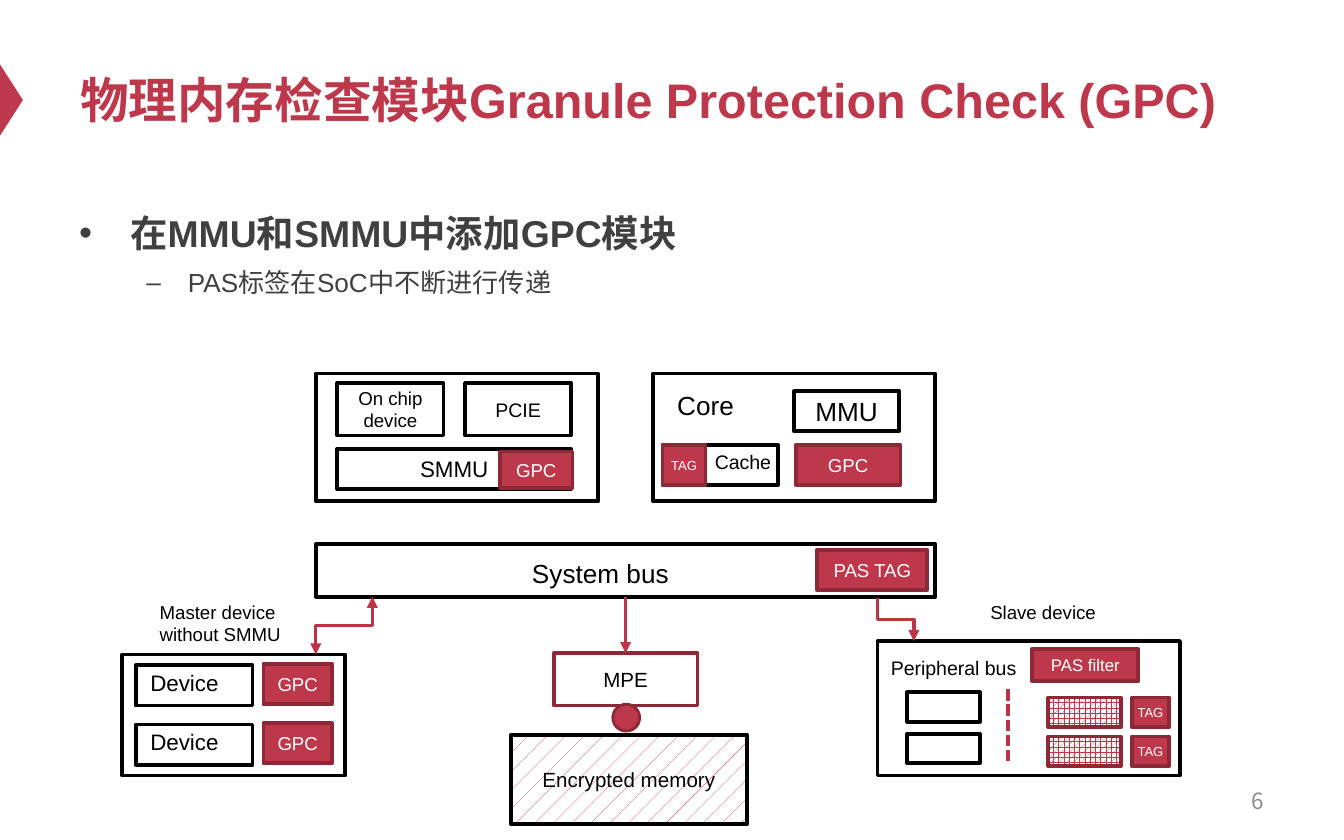
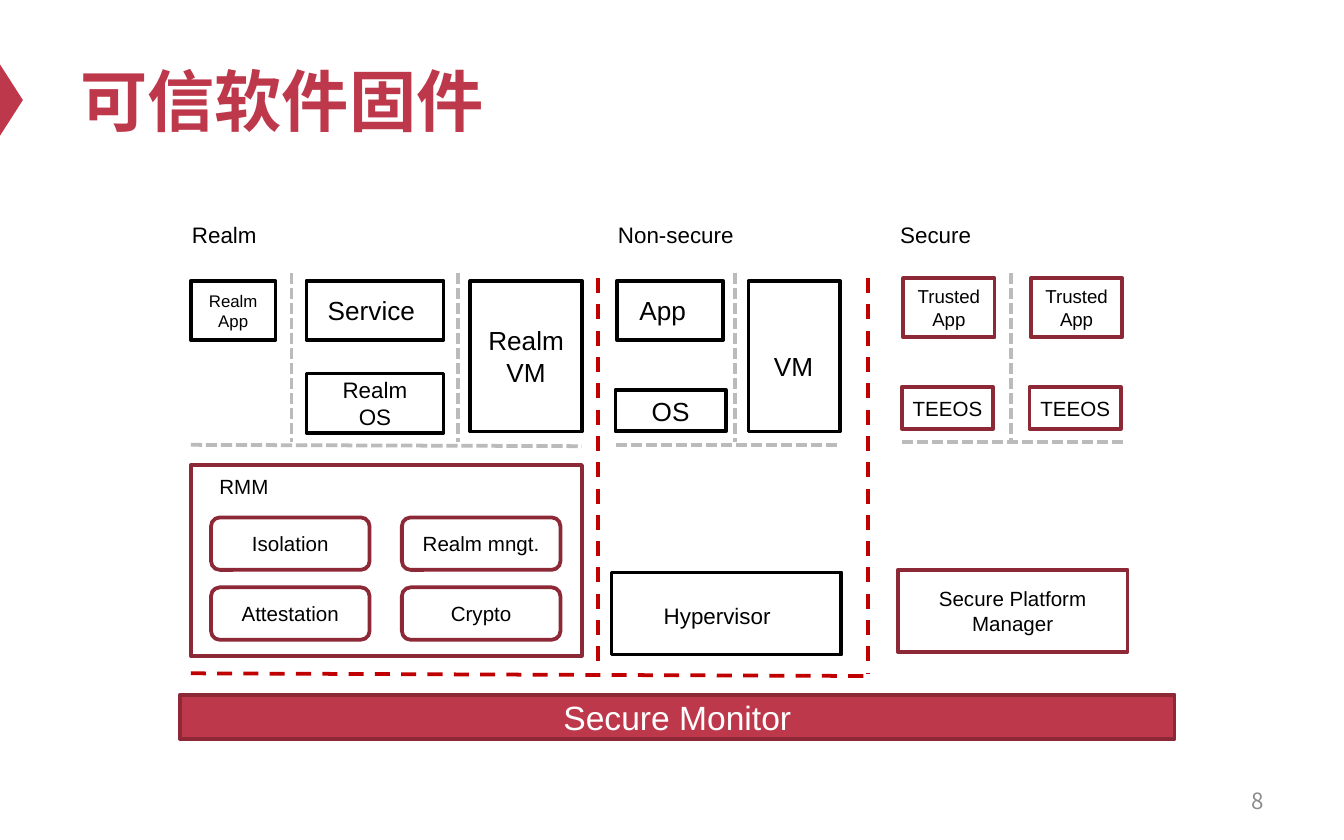
from dataclasses import dataclass
from typing import Any

from lxml.etree import SubElement
from pptx import Presentation
from pptx.dml.color import RGBColor
from pptx.enum.dml import MSO_LINE as Dash, MSO_PATTERN as Pattern
from pptx.enum.shapes import MSO_CONNECTOR as Link, MSO_SHAPE as Shape
from pptx.enum.text import MSO_ANCHOR as Anchor, PP_ALIGN as Align
from pptx.oxml.ns import qn
from pptx.util import Inches, Pt

RED = RGBColor(0xBE, 0x38, 0x4B)
DARK_RED = RGBColor(0x8D, 0x29, 0x37)
ARROW_RED = RGBColor(0xBD, 0x33, 0x47)
BORDER_RED = RGBColor(0xC0, 0x00, 0x00)
BLACK = RGBColor(0x00, 0x00, 0x00)
WHITE = RGBColor(0xFF, 0xFF, 0xFF)
BODY_GRAY = RGBColor(0x40, 0x40, 0x40)
NUMBER_GRAY = RGBColor(0x8C, 0x8C, 0x8C)
LINE_GRAY = RGBColor(0xBB, 0xBB, 0xBB)
LATIN, CJK = "Arial", "Noto Sans CJK SC"


def write_text(frame, text, size=10, color=BLACK, bold=False, font=LATIN,
               align=Align.LEFT, anchor=Anchor.TOP, inset=0.1, wrap=True):
    """Fill a text frame, one paragraph for each line of text."""
    frame.word_wrap = wrap
    frame.vertical_anchor = anchor
    frame.margin_left = frame.margin_right = Inches(inset)
    frame.margin_top = frame.margin_bottom = Inches(min(inset, 0.05))
    frame.text = text
    for paragraph in frame.paragraphs:
        paragraph.alignment = align
        for run in paragraph.runs:
            run.font.name, run.font.size = font, Pt(size)
            run.font.bold, run.font.color.rgb = bold, color
            SubElement(run.font._element, qn("a:ea"), typeface=CJK)


@dataclass
class Region:
    """A part of a slide whose contents are placed from its top-left corner."""
    slide: Any
    left: float = 0
    top: float = 0

    def place(self, x, y):
        """Turn a position in the region into slide lengths."""
        return Inches(self.left + x), Inches(self.top + y)

    def box(self, x, y, width, height, text="", kind=Shape.RECTANGLE, fill=None,
            pattern=None, line=BLACK, weight=2, color=BLACK, inset=0, **style):
        """Draw an outlined shape with an optional centred label."""
        shape = self.slide.shapes.add_shape(
            kind, *self.place(x, y), Inches(width), Inches(height))
        shape.shadow.inherit = False
        if pattern is not None:
            shape.fill.patterned()
            shape.fill.pattern = pattern
            shape.fill.fore_color.rgb, shape.fill.back_color.rgb = RED, WHITE
        elif fill is not None:
            shape.fill.solid()
            shape.fill.fore_color.rgb = fill
        else:
            shape.fill.background()
        if line is None:
            shape.line.fill.background()
        else:
            shape.line.color.rgb, shape.line.width = line, Pt(weight)
        if text:
            write_text(shape.text_frame, text, color=color, inset=inset,
                       align=Align.CENTER, anchor=Anchor.MIDDLE, **style)
        return shape

    def security_box(self, x, y, width, height, text="", **style):
        """Draw a filled red box with a white label."""
        return self.box(x, y, width, height, text, fill=RED, line=DARK_RED,
                        color=WHITE, **style)

    def caption(self, x, y, width, height, text, **style):
        """Add a free text box."""
        area = self.slide.shapes.add_textbox(
            *self.place(x, y), Inches(width), Inches(height))
        write_text(area.text_frame, text, **style)
        return area

    def line(self, x1, y1, x2, y2, color=LINE_GRAY, weight=2, dash=None,
             kind=Link.STRAIGHT, ends=()):
        """Draw a connector, with arrowheads at the ends named."""
        link = self.slide.shapes.add_connector(
            kind, *self.place(x1, y1), *self.place(x2, y2))
        link.line.color.rgb, link.line.width = color, Pt(weight)
        if dash is not None:
            link.line.dash_style = dash
        for end in ends:
            SubElement(link.line._get_or_add_ln(), qn(f"a:{end}"), type="triangle")
        SubElement(link._element.spPr, qn("a:effectLst"))
        return link

    def vertical_elbow(self, x1, y1, x2, y2, ends):
        """Draw a bent arrow that leaves and arrives vertically, going down."""
        middle_x, middle_y = (x1 + x2) / 2, (y1 + y2) / 2
        half_long, half_short = (y2 - y1) / 2, abs(x2 - x1) / 2
        link = self.line(middle_x - half_long, middle_y - half_short,
                         middle_x + half_long, middle_y + half_short,
                         ARROW_RED, 1.75, kind=Link.ELBOW, ends=ends)
        xfrm = link._element.spPr.find(qn("a:xfrm"))
        xfrm.set("rot", str((270 if x2 > x1 else 90) * 60000))
        if x2 > x1:
            xfrm.set("flipH", "1")


def new_slide(deck, title, title_size, number):
    """Add a slide with its marker, title and number."""
    page = Region(deck.slides.add_slide(deck.slide_layouts[6]))
    marker = page.box(-0.18, 0.66, 0.53, 0.17, kind=Shape.ISOSCELES_TRIANGLE,
                      fill=RED, line=None)
    marker.rotation = 90
    page.caption(0.5, 0.25, 9, 0.98, title, size=title_size, color=RED, bold=True,
                 anchor=Anchor.MIDDLE)
    page.caption(7.17, 5.79, 2.33, 0.33, number, size=12, color=NUMBER_GRAY,
                 font=CJK, align=Align.RIGHT, anchor=Anchor.MIDDLE)
    return page


def bullet_points(page):
    """Add the main point and its sub-point."""
    points = page.caption(0.49, 1.45, 9, 1, "在MMU和SMMU中添加GPC模块\nPAS标签在SoC中不断进行传递",
                          color=BODY_GRAY)
    formats = [("•", 0.38, 0.38, 20, True, 0), ("–", 0.81, 0.31, 14, False, 2.8)]
    for paragraph, (mark, margin, hanging, size, bold, before) in zip(
            points.text_frame.paragraphs, formats):
        properties = paragraph._p.get_or_add_pPr()
        properties.set("marL", str(Inches(margin)))
        properties.set("indent", str(-Inches(hanging)))
        SubElement(properties, qn("a:buFont"), typeface=LATIN)
        SubElement(properties, qn("a:buChar"), char=mark)
        paragraph.line_spacing, paragraph.space_before = 1.2, Pt(before)
        for run in paragraph.runs:
            run.font.size, run.font.bold = Pt(size), bold


def smmu_block(slide, left, top):
    """Draw the on-chip devices behind the SMMU."""
    area = Region(slide, left, top)
    area.box(0, 0, 2.1, 0.95)
    area.box(0.16, 0.07, 0.79, 0.39, "On chip\ndevice")
    area.box(1.11, 0.07, 0.79, 0.39, "PCIE", size=10.5)
    area.box(0.16, 0.56, 1.74, 0.3, "SMMU", size=12)
    area.security_box(1.37, 0.58, 0.54, 0.27, "GPC")


def core_block(slide, left, top):
    """Draw the core with its cache, MMU and GPC."""
    area = Region(slide, left, top)
    area.box(0, 0, 2.1, 0.95)
    area.caption(0.08, 0.07, 0.63, 0.34, "Core", size=14, wrap=False)
    area.box(1.05, 0.13, 0.78, 0.3, "MMU", size=14)
    area.box(0.07, 0.53, 0.86, 0.3)
    area.security_box(0.07, 0.53, 0.32, 0.3, "TAG", size=7)
    area.caption(0.36, 0.52, 0.63, 0.28, "Cache", size=10.5, wrap=False)
    area.security_box(1.06, 0.53, 0.78, 0.3, "GPC")


def system_bus(slide, left, top):
    """Draw the system bus and return its box."""
    area = Region(slide, left, top)
    bus = area.box(0, 0, 4.61, 0.39)
    area.caption(1.51, 0.05, 1.32, 0.34, "System bus", size=14)
    area.security_box(3.73, 0.04, 0.82, 0.3, "PAS TAG")
    return bus


def master_devices(slide, left, top):
    """Draw the devices that have no SMMU."""
    area = Region(slide, left, top)
    area.caption(0.18, -0.45, 1.27, 0.44, "Master device without SMMU")
    area.box(0, 0, 1.66, 0.9)
    for y in (0.07, 0.51):
        area.box(0.1, y + 0.01, 0.87, 0.3)
        area.caption(0.11, y - 0.01, 0.87, 0.3, "Device", size=12)
        area.security_box(1.05, y, 0.51, 0.3, "GPC")


def encryption_path(slide, left, top):
    """Draw the MPE above the encrypted memory and return the MPE."""
    area = Region(slide, left, top)
    engine = area.box(0.32, 0, 1.07, 0.39, "MPE", size=11, line=DARK_RED)
    area.box(0, 0.61, 1.76, 0.66, "Encrypted memory", size=11, pattern=Pattern.PERCENT_5)
    area.security_box(0.76, 0.38, 0.2, 0.2, kind=Shape.OVAL, weight=1.5)
    return engine


def slave_devices(slide, left, top):
    """Draw the peripheral bus with its filter and tagged devices."""
    area = Region(slide, left, top)
    area.caption(0.74, -0.35, 1.08, 0.27, "Slave device")
    area.box(0, 0, 2.25, 1)
    area.caption(0, 0.06, 1.32, 0.29, "Peripheral bus", size=10.5)
    area.security_box(1.15, 0.06, 0.79, 0.24, "PAS filter", size=9)
    area.line(0.97, 0.36, 0.97, 0.9, ARROW_RED, dash=Dash.SQUARE_DOT)
    for plain_y, tagged_y in ((0.38, 0.42), (0.69, 0.71)):
        area.box(0.22, plain_y, 0.54, 0.22)
        area.box(1.27, tagged_y, 0.54, 0.22, pattern=Pattern.SPHERE, line=DARK_RED)
        area.security_box(1.89, tagged_y, 0.28, 0.22, "TAG", size=7)


def gpc_slide(deck):
    """Build the slide on granule protection checks."""
    page = new_slide(deck, "物理内存检查模块Granule Protection Check (GPC)", 26, "6")
    bullet_points(page)
    smmu_block(page.slide, 2.35, 2.78)
    core_block(page.slide, 4.86, 2.78)
    bus = system_bus(page.slide, 2.35, 4.05)
    master_devices(page.slide, 0.91, 4.87)
    engine = encryption_path(page.slide, 3.8, 4.86)
    slave_devices(page.slide, 6.53, 4.77)
    page.vertical_elbow(2.77, 4.44, 2.35, 4.87, ("headEnd", "tailEnd"))
    page.vertical_elbow(6.53, 4.45, 6.8, 4.77, ("tailEnd",))
    bus_to_engine = page.line(4.66, 4.44, 4.66, 4.86, ARROW_RED, 1.75, ends=("tailEnd",))
    bus_to_engine.begin_connect(bus, 2)
    bus_to_engine.end_connect(engine, 0)


def realm_world(slide, left, top):
    """Draw the realm world and its RMM."""
    area = Region(slide, left, top)
    area.caption(-0.09, 0, 0.69, 0.3, "Realm", size=12, wrap=False)
    area.box(0, 0.49, 0.63, 0.44, "Realm\nApp", size=9, fill=WHITE)
    area.box(0.86, 0.49, 1.02, 0.44, fill=WHITE)
    area.caption(0.92, 0.54, 0.91, 0.34, "Service", size=14)
    area.box(0.86, 1.18, 1.02, 0.44, "Realm OS", size=12, inset=0.16, fill=WHITE)
    area.box(2.08, 0.49, 0.83, 1.12, "Realm\nVM", size=14, fill=WHITE)
    for x in (0.75, 1.99):
        area.line(x, 0.43, x, 1.69, dash=Dash.SQUARE_DOT)
    area.line(0, 1.71, 2.91, 1.72, dash=Dash.SQUARE_DOT)
    area.box(0, 1.86, 2.91, 1.42, line=DARK_RED)
    area.caption(0, 1.88, 0.79, 0.29, "RMM", size=11, align=Align.CENTER)
    services = ("Isolation", "Realm mngt.", "Attestation", "Crypto")
    for index, service in enumerate(services):
        row, column = divmod(index, 2)
        area.box(0.15 + 1.42 * column, 2.25 + 0.52 * row, 1.18, 0.39, service,
                 size=11, kind=Shape.ROUNDED_RECTANGLE, line=DARK_RED)


def non_secure_world(slide, left, top):
    """Draw the normal world and its hypervisor."""
    area = Region(slide, left, top)
    area.caption(-0.05, 0, 1.07, 0.3, "Non-secure", size=12, wrap=False)
    area.box(0.04, 0.49, 0.79, 0.44, fill=WHITE)
    area.caption(0.11, 0.54, 0.6, 0.34, "App", size=14)
    area.box(0.03, 1.3, 0.82, 0.31, "OS", size=14, fill=WHITE)
    area.box(1.02, 0.49, 0.68, 1.12, fill=WHITE)
    area.caption(1.11, 0.96, 0.5, 0.34, "VM", size=14, wrap=False)
    area.line(0.92, 0.43, 0.92, 1.69, dash=Dash.SQUARE_DOT)
    area.line(0.03, 1.71, 1.7, 1.71, dash=Dash.SQUARE_DOT)
    area.box(0, 2.66, 1.71, 0.61, fill=WHITE)
    area.caption(0.29, 2.83, 1, 0.3, "Hypervisor", size=12, wrap=False)


def secure_world(slide, left, top):
    """Draw the secure world and its platform manager."""
    area = Region(slide, left, top)
    area.caption(-0.08, 0, 0.73, 0.3, "Secure", size=12, wrap=False)
    for x in (0.03, 0.98):
        area.box(x + 0.01, 0.47, 0.68, 0.44, "Trusted App", line=DARK_RED)
        area.box(x, 1.28, 0.68, 0.31, "TEEOS", size=11, line=DARK_RED)
    area.line(0.84, 0.43, 0.84, 1.69, dash=Dash.SQUARE_DOT)
    area.line(0.03, 1.69, 1.7, 1.69, dash=Dash.SQUARE_DOT)
    area.box(0, 2.64, 1.71, 0.61, "Secure Platform Manager", size=11, inset=0.2,
             line=DARK_RED)


def firmware_slide(deck):
    """Build the slide on trusted firmware."""
    page = new_slide(deck, "可信软件固件", 36, "8")
    realm_world(page.slide, 1.42, 1.6)
    non_secure_world(page.slide, 4.55, 1.6)
    secure_world(page.slide, 6.68, 1.6)
    for x in (4.45, 6.46):
        page.line(x, 2.07, x, 5.01, BORDER_RED, dash=Dash.DASH)
    page.line(1.42, 5.01, 6.46, 5.03, BORDER_RED, dash=Dash.DASH)
    page.security_box(1.34, 5.17, 7.4, 0.33, "Secure Monitor", size=18)


def main():
    """Build and save the deck."""
    deck = Presentation()
    deck.slide_width, deck.slide_height = Inches(10), Inches(6.25)
    gpc_slide(deck)
    firmware_slide(deck)
    deck.save("out.pptx")


if __name__ == "__main__":
    main()
